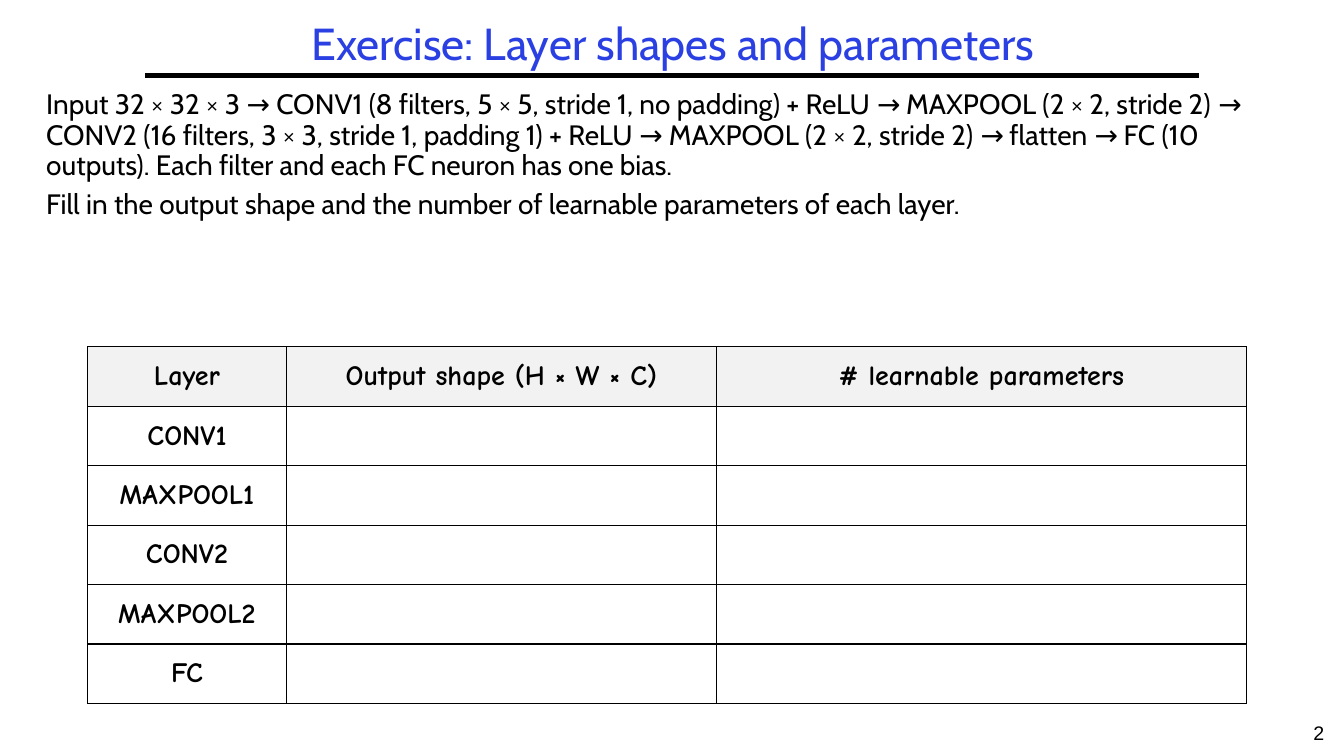
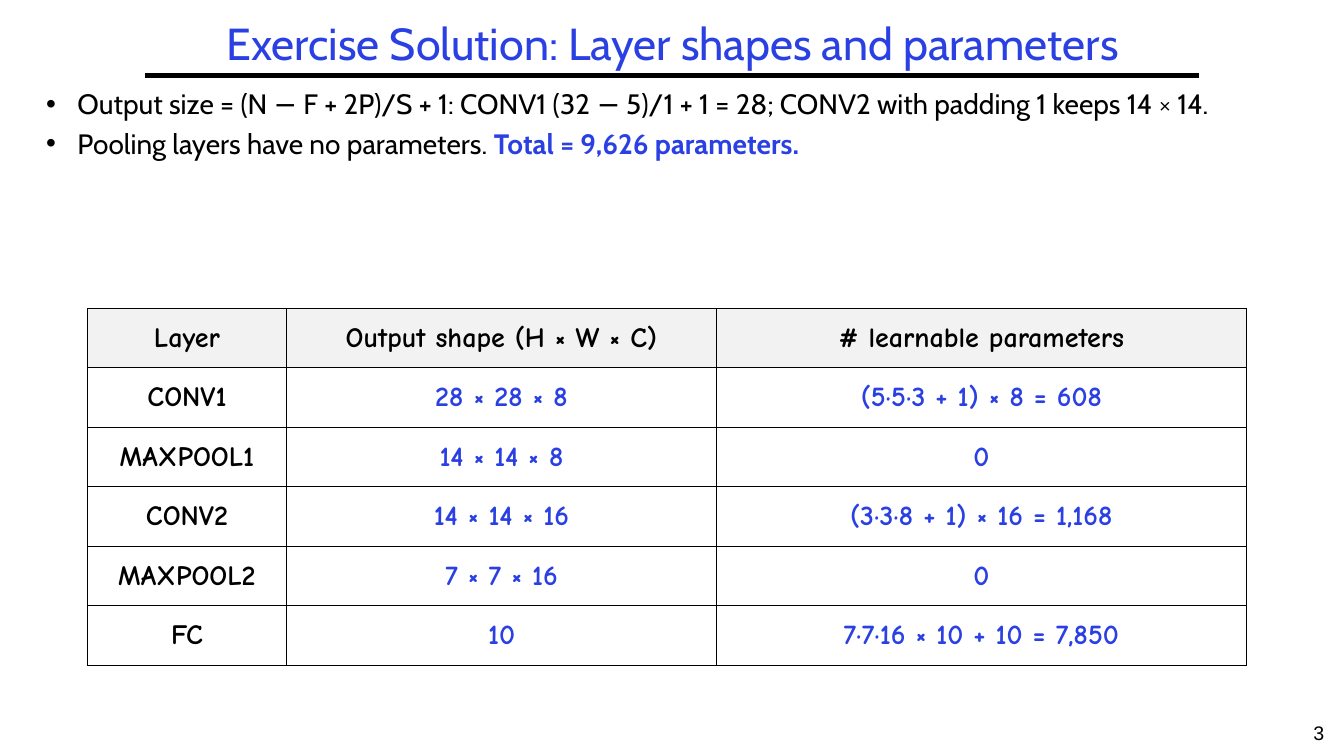
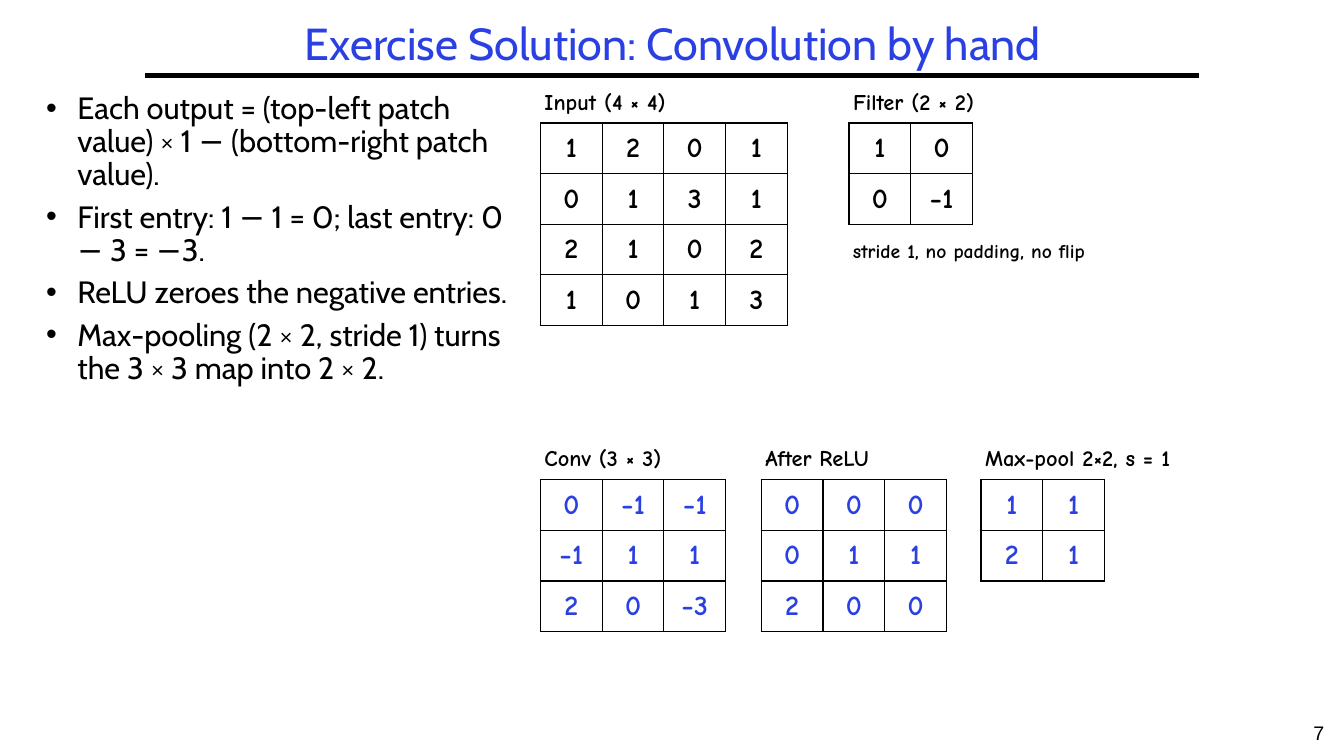
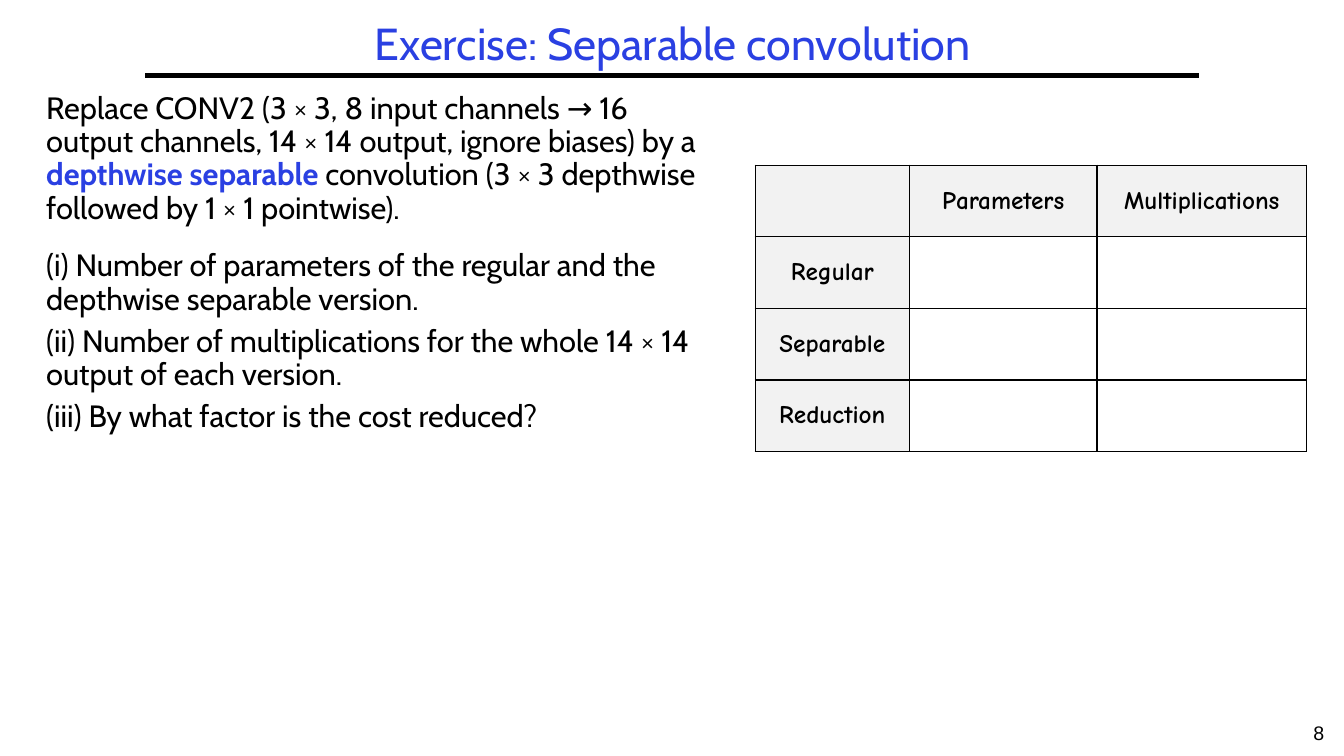
from dataclasses import dataclass

from lxml import etree
from pptx import Presentation
from pptx.dml.color import RGBColor
from pptx.enum.shapes import MSO_CONNECTOR
from pptx.enum.text import MSO_ANCHOR, PP_ALIGN
from pptx.oxml.ns import qn
from pptx.util import Pt

STRAIGHT = MSO_CONNECTOR.STRAIGHT
TOP, MIDDLE = MSO_ANCHOR.TOP, MSO_ANCHOR.MIDDLE
LEFT, CENTER = PP_ALIGN.LEFT, PP_ALIGN.CENTER


@dataclass(frozen=True)
class Theme:
    ink: str = "000000"
    accent: str = "2A40E2"
    shade: str = "F2F2F2"
    sans: str = "Cabin"
    hand: str = "Comic Neue"
    plain: str = "Arial"
    title: int = 32
    large: int = 22
    body: int = 20
    grid: int = 18
    label: int = 16
    small: int = 14
    leading: float = 0.9
    para_gap: float = 6.5
    wide_gap: float = 17.5


THEME = Theme()
PX = 9144  # 100 px to the inch
SLIDE_W, SLIDE_H = 1333, 750
BULLET_INDENT = 31

# In body text, each paragraph is a list of runs: plain, accent, plain, ...
LAYER_TASK = [
    ["Input 32 × 32 × 3 → CONV1 (8 filters, 5 × 5, stride 1, no padding) + ReLU → "
     "MAXPOOL (2 × 2, stride 2) → CONV2 (16 filters, 3 × 3, stride 1, padding 1) + ReLU → "
     "MAXPOOL (2 × 2, stride 2) → flatten → FC (10 outputs). "
     "Each filter and each FC neuron has one bias."],
    ["Fill in the output shape and the number of learnable parameters of each layer."],
]
LAYER_SOLUTION = [
    ["Output size = (N − F + 2P)/S + 1: CONV1 (32 − 5)/1 + 1 = 28; "
     "CONV2 with padding 1 keeps 14 × 14."],
    ["Pooling layers have no parameters. ", "Total = 9,626 parameters."],
]
LAYER_HEAD = ["Layer", "Output shape (H × W × C)", "# learnable parameters"]
LAYER_ANSWERS = [
    ["CONV1", "28 × 28 × 8", "(5·5·3 + 1) × 8 = 608"],
    ["MAXPOOL1", "14 × 14 × 8", "0"],
    ["CONV2", "14 × 14 × 16", "(3·3·8 + 1) × 16 = 1,168"],
    ["MAXPOOL2", "7 × 7 × 16", "0"],
    ["FC", "10", "7·7·16 × 10 + 10 = 7,850"],
]
LAYER_COLS = [197, 427, 525]

HAND_SOLUTION = [
    ["Each output = (top-left patch value) × 1 − (bottom-right patch value)."],
    ["First entry: 1 − 1 = 0; last entry: 0 − 3 = −3."],
    ["ReLU zeroes the negative entries."],
    ["Max-pooling (2 × 2, stride 1) turns the 3 × 3 map into 2 × 2."],
]
# label, left, top, label width, colour, rows
MATRICES = [
    ("Input (4 × 4)", 536, 85, 241, THEME.ink, ["1 2 0 1", "0 1 3 1", "2 1 0 2", "1 0 1 3"]),
    ("Filter (2 × 2)", 842, 85, 241, THEME.ink, ["1 0", "0 −1"]),
    ("Conv (3 × 3)", 536, 439, 219, THEME.accent, ["0 −1 −1", "−1 1 1", "2 0 −3"]),
    ("After ReLU", 755, 439, 219, THEME.accent, ["0 0 0", "0 1 1", "2 0 0"]),
    ("Max-pool 2×2, s = 1", 973, 439, 328, THEME.accent, ["1 1", "2 1"]),
]
FILTER_NOTE = "stride 1, no padding, no flip"

SEPARABLE_TASK = [
    ["Replace CONV2 (3 × 3, 8 input channels → 16 output channels, 14 × 14 output, "
     "ignore biases) by a ", "depthwise separable",
     " convolution (3 × 3 depthwise followed by 1 × 1 pointwise)."],
    ["(i) Number of parameters of the regular and the depthwise separable version."],
    ["(ii) Number of multiplications for the whole 14 × 14 output of each version."],
    ["(iii) By what factor is the cost reduced?"],
]
SEPARABLE_GRID = [
    ["", "Parameters", "Multiplications"],
    ["Regular", "", ""],
    ["Separable", "", ""],
    ["Reduction", "", ""],
]


def px(*lengths):
    return [round(n * PX) for n in lengths]


def add_run(p, text, font, size, color=THEME.ink, bold=False):
    r = p.add_run()
    r.text = text
    r.font.name, r.font.size, r.font.bold = font, Pt(size), bold
    r.font.color.rgb = RGBColor.from_string(color)


def add_box(slide, x, y, w, h, inset=(10, 5), anchor=TOP):
    tf = slide.shapes.add_textbox(*px(x, y, w, h)).text_frame
    tf.word_wrap = True
    tf.vertical_anchor = anchor
    tf.margin_left, tf.margin_top = tf.margin_right, tf.margin_bottom = px(*inset)
    return tf


def add_line_of_text(slide, box, text, font, size, color=THEME.ink, bold=False,
                     align=LEFT, **frame):
    p = add_box(slide, *box, **frame).paragraphs[0]
    p.alignment = align
    add_run(p, text, font, size, color, bold)
    return p


def add_body(slide, box, paragraphs, size, bullets=False, wide_before=None):
    """wide_before is the index of a paragraph set further from the one above."""
    tf = add_box(slide, *box)
    for i, runs in enumerate(paragraphs):
        p = tf.add_paragraph() if i else tf.paragraphs[0]
        if bullets:
            pPr = p._p.get_or_add_pPr()
            indent, = px(BULLET_INDENT)
            pPr.set("marL", str(indent))
            pPr.set("indent", str(-indent))
            etree.SubElement(pPr, qn("a:buFont")).set("typeface", THEME.plain)
            etree.SubElement(pPr, qn("a:buChar")).set("char", "•")
        p.line_spacing = THEME.leading
        if i:
            p.space_before = Pt(THEME.wide_gap if i == wide_before else THEME.para_gap)
        for j, text in enumerate(runs):
            accent = j % 2 == 1
            add_run(p, text, THEME.sans, size, THEME.accent if accent else THEME.ink, accent)


def add_borders(cell):
    tcPr = cell._tc.get_or_add_tcPr()
    for i, side in enumerate(("lnL", "lnR", "lnT", "lnB")):
        ln = etree.Element(qn("a:" + side), w=str(Pt(1)))
        fill = etree.SubElement(ln, qn("a:solidFill"))
        etree.SubElement(fill, qn("a:srgbClr")).set("val", THEME.ink)
        tcPr.insert(i, ln)


def add_grid(slide, x, y, cols, row_h, rows, size=THEME.body, value_color=THEME.ink,
             head_row=False, head_col=False, shade_col=False):
    box = px(x, y, sum(cols), row_h * len(rows))
    table = slide.shapes.add_table(len(rows), len(cols), *box).table
    table.first_row = table.horz_banding = False
    for column, width in zip(table.columns, cols):
        column.width, = px(width)
    for i, row in enumerate(rows):
        table.rows[i].height, = px(row_h)
        for j, text in enumerate(row):
            cell = table.cell(i, j)
            cell.vertical_anchor = MIDDLE
            cell.margin_left, cell.margin_top = cell.margin_right, cell.margin_bottom = px(7, 3)
            in_head = head_row and i == 0
            if in_head or (shade_col and j == 0):
                cell.fill.solid()
                cell.fill.fore_color.rgb = RGBColor.from_string(THEME.shade)
            else:
                cell.fill.background()
            add_borders(cell)
            if text:
                p = cell.text_frame.paragraphs[0]
                p.alignment = CENTER
                named = in_head or (head_col and j == 0)
                add_run(p, text, THEME.hand, size, THEME.ink if named else value_color, True)


def add_slide(prs, title, number):
    """Blank slide with the shared title, rule and page number."""
    slide = prs.slides.add_slide(prs.slide_layouts[6])
    rule = slide.shapes.add_connector(STRAIGHT, *px(144, 75, 1189, 75))
    rule.line.width = Pt(3)
    rule.line.color.rgb = RGBColor.from_string(THEME.ink)
    etree.SubElement(rule._element.spPr, qn("a:effectLst"))
    add_line_of_text(slide, (1283, 710, 50, 40), str(number), THEME.plain, THEME.small,
                     align=CENTER)
    p = add_line_of_text(slide, (144, 17, 1047, 58), title, THEME.sans, THEME.title,
                         THEME.accent, align=CENTER, anchor=MIDDLE)
    p.line_spacing = THEME.leading
    return slide


def add_layer_table(slide, y, rows):
    add_grid(slide, 87, y, LAYER_COLS, 59, [LAYER_HEAD] + rows,
             value_color=THEME.accent, head_row=True, head_col=True)


def add_matrix(slide, label, x, y, label_w, color, rows):
    add_line_of_text(slide, (x, y, label_w, 35), label, THEME.hand, THEME.label,
                     bold=True, inset=(4, 2))
    values = [row.split() for row in rows]
    add_grid(slide, x, y + 37, [61.25] * len(values[0]), 50.25, values, value_color=color)


def main():
    prs = Presentation()
    prs.slide_width, prs.slide_height = px(SLIDE_W, SLIDE_H)

    s = add_slide(prs, "Exercise: Layer shapes and parameters", 2)
    add_body(s, (36, 85, 1258, 241), LAYER_TASK, THEME.body)
    add_layer_table(s, 344, [[layer, "", ""] for layer, *_ in LAYER_ANSWERS])

    s = add_slide(prs, "Exercise Solution: Layer shapes and parameters", 3)
    add_body(s, (36, 85, 1258, 197), LAYER_SOLUTION, THEME.body, bullets=True)
    add_layer_table(s, 306, LAYER_ANSWERS)

    s = add_slide(prs, "Exercise Solution: Convolution by hand", 7)
    add_body(s, (36, 87, 481, 525), HAND_SOLUTION, THEME.large, bullets=True)
    for matrix in MATRICES:
        add_matrix(s, *matrix)
    add_line_of_text(s, (842, 235, 394, 77), FILTER_NOTE, THEME.hand, THEME.small,
                     bold=True, inset=(4, 2))

    s = add_slide(prs, "Exercise: Separable convolution", 8)
    add_body(s, (36, 87, 678, 601), SEPARABLE_TASK, THEME.large, wide_before=1)
    add_grid(s, 749, 164, [153, 186, 208], 71, SEPARABLE_GRID, size=THEME.grid,
             head_row=True, head_col=True, shade_col=True)

    prs.save("out.pptx")


if __name__ == "__main__":
    main()
